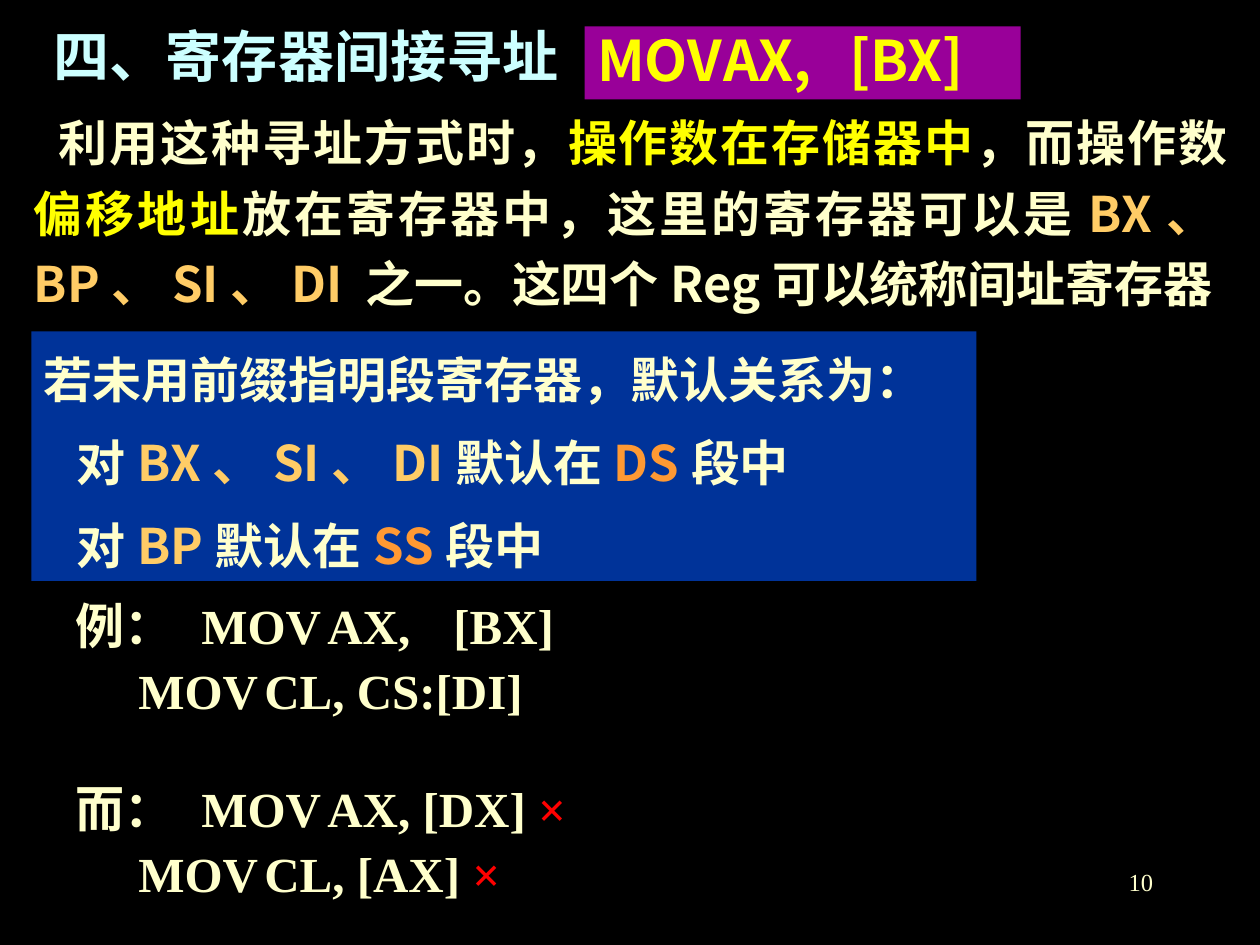
from pptx import Presentation
from pptx.dml.color import RGBColor
from pptx.enum.shapes import MSO_SHAPE
from pptx.enum.text import MSO_ANCHOR, PP_ALIGN
from pptx.oxml.ns import qn
from pptx.util import Inches, Pt
from lxml.etree import SubElement

BLACK = RGBColor(0x00, 0x00, 0x00)
BLUE = RGBColor(0x00, 0x33, 0x99)
PURPLE = RGBColor(0x99, 0x00, 0x99)
CREAM = RGBColor(0xFF, 0xFF, 0xCC)
CYAN = RGBColor(0xCC, 0xFF, 0xFF)
YELLOW = RGBColor(0xFF, 0xFF, 0x00)
GOLD = RGBColor(0xFF, 0xCC, 0x66)
ORANGE = RGBColor(0xFF, 0x99, 0x33)
RED = RGBColor(0xFF, 0x00, 0x00)
SANS, SERIF = "Noto Sans CJK SC", "Times New Roman"

PROSE = {"alignment": PP_ALIGN.JUSTIFY, "line_spacing": 1.2}
CODE = {"alignment": PP_ALIGN.LEFT, "line_spacing": 0.9}

# Each paragraph: runs of (text, colour), first-line indent, tab stops (inches)
BOXES = [
    {"at": (7.17, 6.83, 2.08, 0.5), "size": 14, "font": SERIF, "bold": False,
     "format": {"alignment": PP_ALIGN.RIGHT},
     "paras": [([("10", CREAM)], 0, ())]},
    {"at": (0.33, 0, 5.25, 0.75), "size": 32, "font": SANS,
     "anchor": MSO_ANCHOR.BOTTOM, "format": {"alignment": PP_ALIGN.LEFT},
     "paras": [([("四、寄存器间接寻址", CYAN)], 0, ())]},
    {"at": (0.17, 0.75, 9.67, 1.82), "size": 28, "font": SANS,
     "fill": BLACK, "format": PROSE,
     "paras": [([("利用这种寻址方式时，", CREAM), ("操作数在存储器中", YELLOW),
                 ("，而操作数", CREAM), ("偏移地址", YELLOW),
                 ("放在寄存器中，这里的寄存器可以是", CREAM),
                 ("BX、BP、SI、DI ", GOLD),
                 ("之一。这四个Reg可以统称间址寄存器", CREAM)], 0.2, ())]},
    {"at": (0.25, 2.63, 7.5, 1.98), "size": 28, "font": SANS,
     "fill": BLUE, "format": PROSE,
     "paras": [([("若未用前缀指明段寄存器，默认关系为：", CREAM)], 0, ()),
               ([("对", CREAM), ("BX、SI、DI", GOLD), ("默认在", CREAM),
                 ("DS", ORANGE), ("段中", CREAM)], 0.26, ()),
               ([("对", CREAM), ("BP", GOLD), ("默认在", CREAM),
                 ("SS", ORANGE), ("段中", CREAM)], 0.26, ())]},
    {"at": (0.5, 4.73, 5.67, 1.04), "size": 28, "font": SERIF, "format": CODE,
     "paras": [([("例：\tMOV\tAX,\t[BX]", CREAM)], 0, (1.39, 2.62, 3.45)),
               ([("\tMOV\tCL, CS:[DI]", CREAM)], 0, (1.35, 2.68))]},
    {"at": (0.5, 6.18, 6.08, 1.04), "size": 28, "font": SERIF, "format": CODE,
     "paras": [([("而：\tMOV\tAX, [DX] ", CREAM), ("×", RED)], 0, (1.57, 2.89)),
               ([("\tMOV\tCL, [AX] ", CREAM), ("×", RED)], 0, (1.55, 2.88))]},
    {"at": (4.64, 0.21, 3.46, 0.58), "size": 32, "font": SANS,
     "fill": PURPLE, "format": CODE,
     "paras": [([("MOV\tAX,\t[BX]", YELLOW)], 0, (1.3, 2.18))]},
]


def set_layout(para, indent, tabs):
    """Give the paragraph its first-line indent and left tab stops."""
    properties = para._p.get_or_add_pPr()
    properties.set("marL", "0")
    properties.set("indent", str(Inches(indent)))
    if tabs:
        stops = SubElement(properties, qn("a:tabLst"))
        for position in tabs:
            SubElement(stops, qn("a:tab"), pos=str(Inches(position)), algn="l")


def add_span(para, text, color, box):
    span = para.add_run()
    span.text = text
    for name, value in {"size": Pt(box["size"]), "name": box["font"],
                        "bold": box.get("bold", True)}.items():
        setattr(span.font, name, value)
    span.font.color.rgb = color
    SubElement(span.font._element, qn("a:ea"), typeface=SANS)


def add_box(page, box):
    place = [Inches(length) for length in box["at"]]
    if "fill" in box:
        shape = page.shapes.add_shape(MSO_SHAPE.RECTANGLE, *place)
        shape.shadow.inherit = False
        shape.fill.solid()
        shape.fill.fore_color.rgb = box["fill"]
        shape.line.fill.background()
    else:
        shape = page.shapes.add_textbox(*place)
    frame = shape.text_frame
    frame.word_wrap = True
    frame.vertical_anchor = box.get("anchor", MSO_ANCHOR.TOP)
    for number, (spans, indent, tabs) in enumerate(box["paras"]):
        para = frame.add_paragraph() if number else frame.paragraphs[0]
        for name, value in box["format"].items():
            setattr(para, name, value)
        if number:
            para.space_before = Pt(7)
        set_layout(para, indent, tabs)
        for text, color in spans:
            add_span(para, text, color, box)


def main():
    deck = Presentation()
    deck.slide_width, deck.slide_height = Inches(10), Inches(7.5)
    page = deck.slides.add_slide(deck.slide_layouts[6])
    page.background.fill.solid()
    page.background.fill.fore_color.rgb = BLACK
    for box in BOXES:
        add_box(page, box)
    deck.save("out.pptx")


if __name__ == "__main__":
    main()
